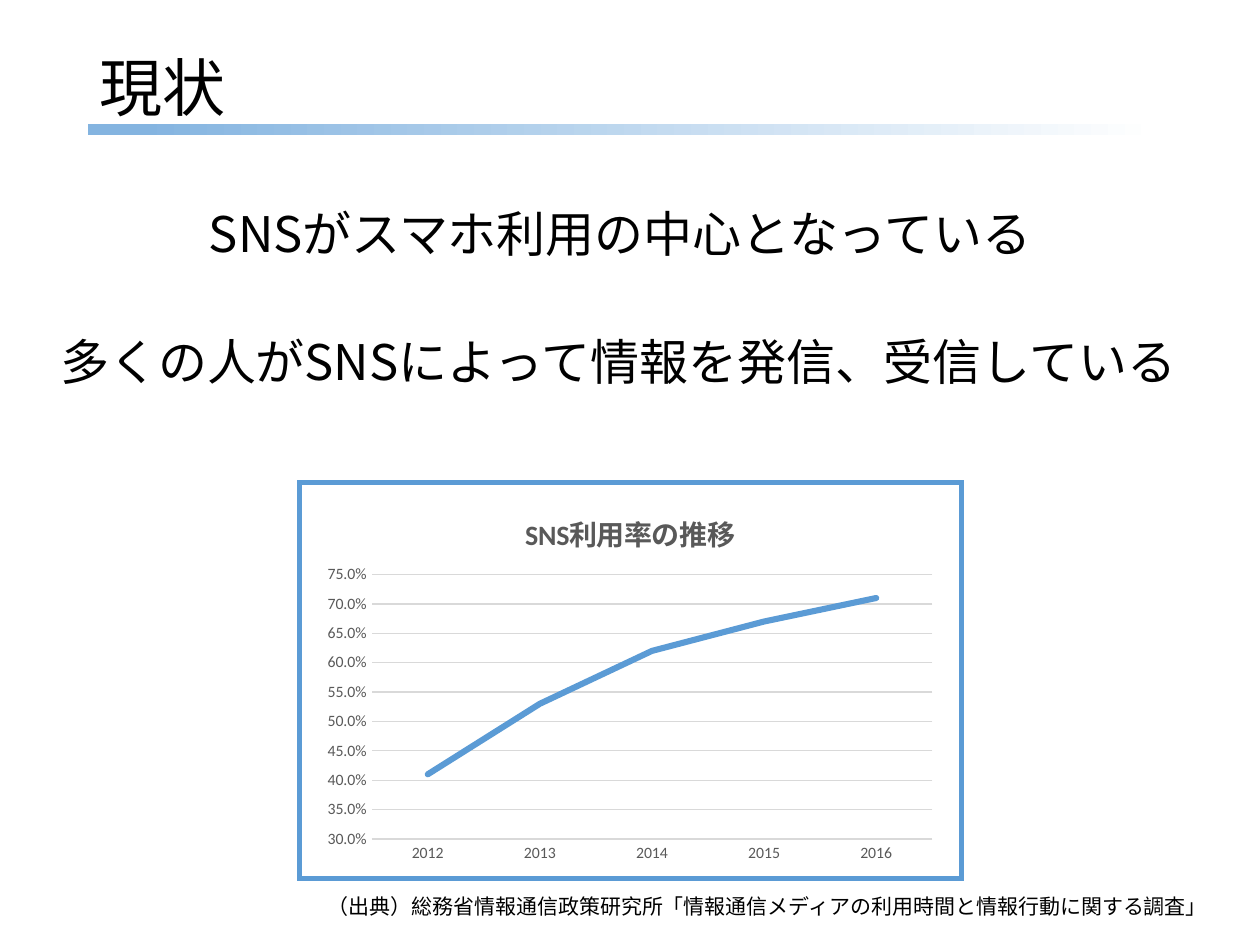
from lxml.etree import SubElement
from pptx import Presentation
from pptx.chart.data import CategoryChartData
from pptx.dml.color import RGBColor
from pptx.enum.chart import XL_CHART_TYPE as ChartType, XL_TICK_MARK as TickMark
from pptx.enum.shapes import MSO_SHAPE as Shape
from pptx.enum.text import MSO_ANCHOR as Anchor
from pptx.oxml.ns import qn
from pptx.util import Inches, Pt

BLACK = RGBColor(0x00, 0x00, 0x00)
WHITE = RGBColor(0xFF, 0xFF, 0xFF)
BLUE = RGBColor(0x5B, 0x9B, 0xD5)
PALE_BLUE = RGBColor(0x84, 0xB4, 0xE0)
GREY = RGBColor(0x59, 0x59, 0x59)
LIGHT_GREY = RGBColor(0xD9, 0xD9, 0xD9)
JAPANESE = "Noto Sans CJK JP"


def format_font(font, color, **values):
    for key, value in values.items():
        setattr(font, key, value)
    font.color.rgb = color


def add_rectangle(left, top, width, height, line_color, line_width):
    rectangle = slide.shapes.add_shape(
        Shape.RECTANGLE, Inches(left), Inches(top), Inches(width), Inches(height))
    rectangle.shadow.inherit = False
    rectangle.line.color.rgb = line_color
    rectangle.line.width = Pt(line_width)
    SubElement(rectangle.line._get_or_add_ln(), qn("a:miter")).set("lim", "800000")
    return rectangle


prs = Presentation()
prs.slide_width, prs.slide_height = Inches(10), Inches(7.5)
slide = prs.slides.add_slide(prs.slide_layouts[6])

title_rule = add_rectangle(0.69, 0.98, 8.5, 0.1, WHITE, 1)
title_rule.fill.gradient()
title_rule.fill.gradient_angle = 0
for stop, position, color in zip(title_rule.fill.gradient_stops, (0.05, 1), (PALE_BLUE, WHITE)):
    stop.position = position
    stop.color.rgb = color

chart_frame = add_rectangle(2.38, 3.83, 5.25, 3.14, BLUE, 3)
chart_frame.fill.solid()
chart_frame.fill.fore_color.rgb = WHITE

usage = CategoryChartData(number_format="0.0%")
usage.categories = ["2012", "2013", "2014", "2015", "2016"]
usage.add_series("Series 1", (0.41, 0.53, 0.62, 0.67, 0.71))
chart = slide.shapes.add_chart(
    ChartType.LINE, Inches(2.5), Inches(3.9), Inches(5), Inches(3), usage).chart
format_font(chart.font, BLACK, name="Calibri", size=Pt(10))
chart.has_legend = False
chart.has_title = True
chart_title = chart.chart_title.text_frame.paragraphs[0].add_run()
chart_title.text = "SNS利用率の推移"
format_font(chart_title.font, GREY, name="Calibri", size=Pt(16), bold=True)

plot_area = chart._chartSpace.chart.plotArea
for old_layout in plot_area.findall(qn("c:layout")):
    plot_area.remove(old_layout)
layout = SubElement(plot_area, qn("c:layout"))
plot_area.insert(0, layout)
manual_layout = SubElement(layout, qn("c:manualLayout"))
for key, value in {"layoutTarget": "inner", "xMode": "edge", "yMode": "edge",
                   "x": "0.09", "y": "0.22", "w": "0.89", "h": "0.7"}.items():
    SubElement(manual_layout, qn(f"c:{key}")).set("val", value)

years, rates = chart.category_axis, chart.value_axis
for axis in (years, rates):
    axis.major_tick_mark = axis.minor_tick_mark = TickMark.NONE
    format_font(axis.tick_labels.font, GREY, name="Calibri", size=Pt(9))
rate_scale = {"minimum_scale": 0.3, "maximum_scale": 0.75, "major_unit": 0.05,
              "has_major_gridlines": True}
for key, value in rate_scale.items():
    setattr(rates, key, value)
rates.tick_labels.number_format = "0.0%"
rates.tick_labels.number_format_is_linked = False
rates.format.line.fill.background()

usage_line = chart.plots[0].series[0]
usage_line.smooth = False
for line, color, width in (
    (years.format.line, LIGHT_GREY, 0.75),
    (rates.major_gridlines.format.line, LIGHT_GREY, 0.75),
    (usage_line.format.line, BLUE, 3.5),
):
    line.color.rgb = color
    line.width = Pt(width)
usage_line.format.line._get_or_add_ln().set("cap", "rnd")

for text, left, top, width, height, size, anchor, spacing in (
    ("現状", 0.69, 0, 8.62, 1.45, 36, Anchor.MIDDLE, 0.9),
    ("（出典）総務省情報通信政策研究所「情報通信メディアの利用時間と情報行動に関する調査」",
     2.5, 7.04, 7.27, 0.3, 12, Anchor.TOP, 1),
    ("多くの人がSNSによって情報を発信、受信している", 0.38, 2.58, 9.2, 0.57, 28, Anchor.TOP, 1),
    ("SNSがスマホ利用の中心となっている", 1.56, 1.57, 6.88, 0.57, 28, Anchor.TOP, 1),
):
    frame = slide.shapes.add_textbox(
        Inches(left), Inches(top), Inches(width), Inches(height)).text_frame
    frame.word_wrap = True
    frame.vertical_anchor = anchor
    paragraph = frame.paragraphs[0]
    paragraph.line_spacing = spacing
    run = paragraph.add_run()
    run.text = text
    format_font(run.font, BLACK, name=JAPANESE, size=Pt(size))
    SubElement(run.font._element, qn("a:ea")).set("typeface", JAPANESE)

prs.save("out.pptx")
